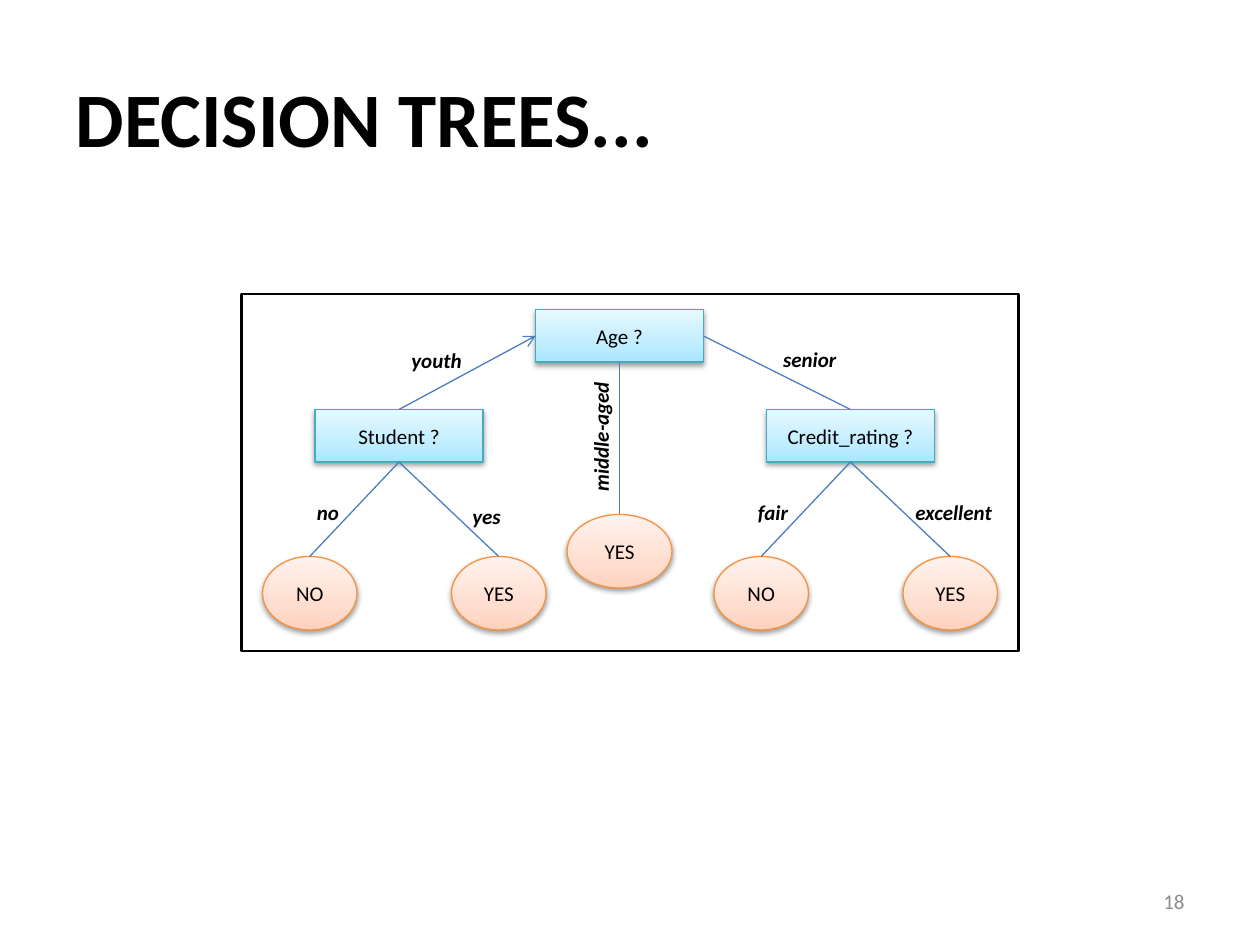
import copy

import pptx
import pptx.dml.color
import pptx.enum.shapes
import pptx.enum.text
import pptx.oxml
import pptx.oxml.ns
import pptx.util

PX = 7620  # EMU: 120 px to the inch
FONT = "Calibri"
COLORS = {
    "ink": "000000", "paper": "FFFFFF", "branch": "4B7EBC",
    "number": "8C8C8C", "question": "46AAC5", "answer": "F69240",
}
GRADIENTS = {
    "question": [(0, "A7E6FF"), (0.35, "C1EDFF"), (1, "E7F8FF")],
    "answer": [(0, "FFD2BD"), (0.35, "FFDED0"), (1, "FFF2ED")],
}
SHAPES = {
    "question": pptx.enum.shapes.MSO_SHAPE.RECTANGLE,
    "answer": pptx.enum.shapes.MSO_SHAPE.OVAL,
}
ALIGN = pptx.enum.text.PP_ALIGN
MIDDLE = pptx.enum.text.MSO_ANCHOR.MIDDLE
TOP, LEFT, BOTTOM, RIGHT = range(4)

# name: kind, text, left, top, width, height (px inside the frame)
NODES = {
    "age": ("question", "Age ?", 280, 15, 160, 50),
    "student": ("question", "Student ?", 70, 110, 160, 50),
    "credit": ("question", "Credit_rating ?", 500, 110, 160, 50),
    "middle": ("answer", "YES", 310, 210, 100, 70),
    "no": ("answer", "NO", 20, 250, 90, 70),
    "yes": ("answer", "YES", 200, 250, 90, 70),
    "fair": ("answer", "NO", 450, 250, 90, 70),
    "excellent": ("answer", "YES", 630, 250, 90, 70),
}
# from node, side, to node, side, arrowhead
BRANCHES = [
    ("student", TOP, "age", LEFT, True),
    ("age", RIGHT, "credit", TOP, False),
    ("age", BOTTOM, "middle", TOP, False),
    ("student", BOTTOM, "no", TOP, False),
    ("student", BOTTOM, "yes", TOP, False),
    ("credit", BOTTOM, "fair", TOP, False),
    ("credit", BOTTOM, "excellent", TOP, False),
]
# text, left, top, width, rotation
LABELS = [
    ("youth", 150, 45, 73, 0),
    ("senior", 504, 44, 76, 0),
    ("middle-aged", 272, 112, 140, 270),
    ("no", 60, 190, 46, 0),
    ("yes", 208, 194, 52, 0),
    ("fair", 480, 190, 60, 0),
    ("excellent", 630, 190, 98, 0),
]
LABEL_HEIGHT = 36


def rgb(name):
    return pptx.dml.color.RGBColor.from_string(COLORS.get(name, name))


def emu(*lengths):
    return [length * PX for length in lengths]


def xml(text):
    """Parse one element of the drawing namespace."""
    head, rest = text.split(" ", 1)
    return pptx.oxml.parse_xml(f"{head} {pptx.oxml.ns.nsdecls('a')} {rest}")


def write(shape, text, size=12, color="ink", align=ALIGN.LEFT, bold=False, italic=False):
    shape.text_frame.text = text
    para = shape.text_frame.paragraphs[0]
    para.alignment = align
    para.font.name = FONT
    para.font.size = pptx.util.Pt(size)
    para.font.bold = bold
    para.font.italic = italic
    para.font.color.rgb = rgb(color)


def fill_gradient(shape, colors):
    shape.fill.gradient()
    shape.fill.gradient_angle = 90
    first = shape._element.spPr.find(".//" + pptx.oxml.ns.qn("a:gs"))
    first.addnext(copy.deepcopy(first))
    for stop, (position, color) in zip(shape.fill.gradient_stops, colors):
        stop.position = position
        stop.color.rgb = rgb(color)


def add_shadow(shape):
    shape.shadow.inherit = False
    effects = shape._element.spPr.find(pptx.oxml.ns.qn("a:effectLst"))
    effects.append(xml(
        '<a:outerShdw blurRad="40000" dist="20000" dir="5400000" rotWithShape="0">'
        '<a:srgbClr val="000000"><a:alpha val="38000"/></a:srgbClr></a:outerShdw>'))


def add_node(page, kind, text, left, top, width, height):
    node = page.shapes.add_shape(SHAPES[kind], *emu(left, top, width, height))
    fill_gradient(node, GRADIENTS[kind])
    node.line.color.rgb = rgb(kind)
    node.line.width = pptx.util.Pt(0.75)
    add_shadow(node)
    write(node, text, align=ALIGN.CENTER)
    node.text_frame.vertical_anchor = MIDDLE


def add_branch(page, start, start_side, end, end_side, arrow):
    branch = page.shapes.add_connector(
        pptx.enum.shapes.MSO_CONNECTOR.STRAIGHT, 0, 0, 0, 0)
    branch.begin_connect(start, start_side)
    branch.end_connect(end, end_side)
    branch.line.color.rgb = rgb("branch")
    branch.line.width = pptx.util.Pt(0.75)
    if arrow:
        branch.line._get_or_add_ln().append(xml('<a:tailEnd type="arrow"/>'))
    branch._element.spPr.append(xml("<a:effectLst />"))


def add_label(page, text, left, top, width, rotation):
    label = page.shapes.add_textbox(*emu(left, top, width, LABEL_HEIGHT))
    label.rotation = rotation
    label.text_frame.word_wrap = False
    write(label, text, bold=True, italic=True)


def add_tree(page, left, top, width, height):
    """Draw the framed tree, with all its parts placed from the frame's corner."""
    frame = page.shapes.add_shape(SHAPES["question"], *emu(left, top, width, height))
    frame.shadow.inherit = False
    frame.fill.solid()
    frame.fill.fore_color.rgb = rgb("paper")
    frame.line.color.rgb = rgb("ink")
    frame.line.width = pptx.util.Pt(1.5)

    nodes = {}
    for name, (kind, text, x, y, node_width, node_height) in NODES.items():
        add_node(page, kind, text, left + x, top + y, node_width, node_height)
        nodes[name] = page.shapes[-1]
    for start, start_side, end, end_side, arrow in BRANCHES:
        add_branch(page, nodes[start], start_side, nodes[end], end_side, arrow)
    for text, x, y, label_width, rotation in LABELS:
        add_label(page, text, left + x, top + y, label_width, rotation)


def add_title(page, left, top, width, height):
    title = page.shapes.title
    title.left, title.top, title.width, title.height = emu(left, top, width, height)
    write(title, "DECISION TREES...", size=44, bold=True)
    title.text_frame.vertical_anchor = MIDDLE


def add_page_number(page, left, top, width, height):
    number = page.shapes.add_textbox(*emu(left, top, width, height))
    number.text_frame.word_wrap = True
    number.text_frame.vertical_anchor = MIDDLE
    write(number, "18", color="number", align=ALIGN.RIGHT)


def main():
    deck = pptx.Presentation()
    deck.slide_width, deck.slide_height = emu(1200, 900)
    page = deck.slides.add_slide(deck.slide_layouts.get_by_name("Title Only"))
    add_title(page, 60, 36, 1080, 150)
    add_tree(page, 230, 280, 740, 340)
    add_page_number(page, 860, 834, 280, 48)
    deck.save("out.pptx")


if __name__ == "__main__":
    main()
